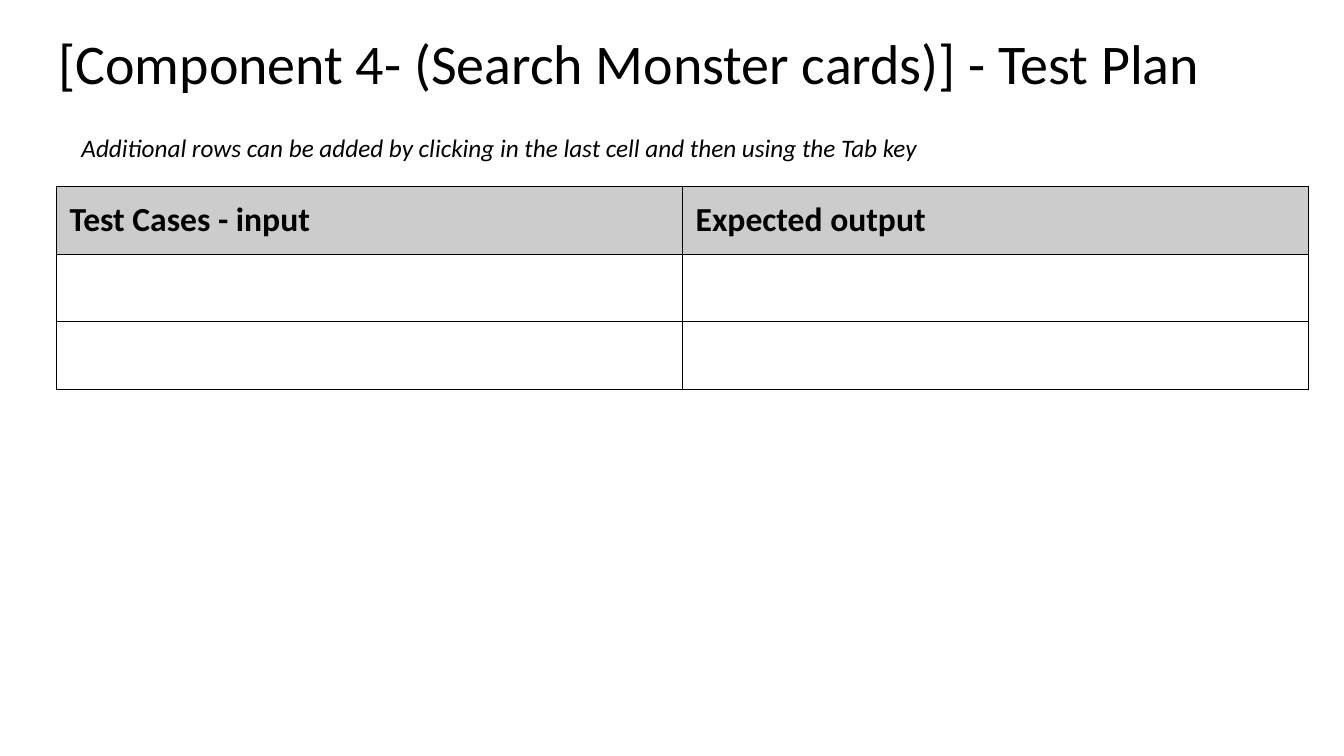
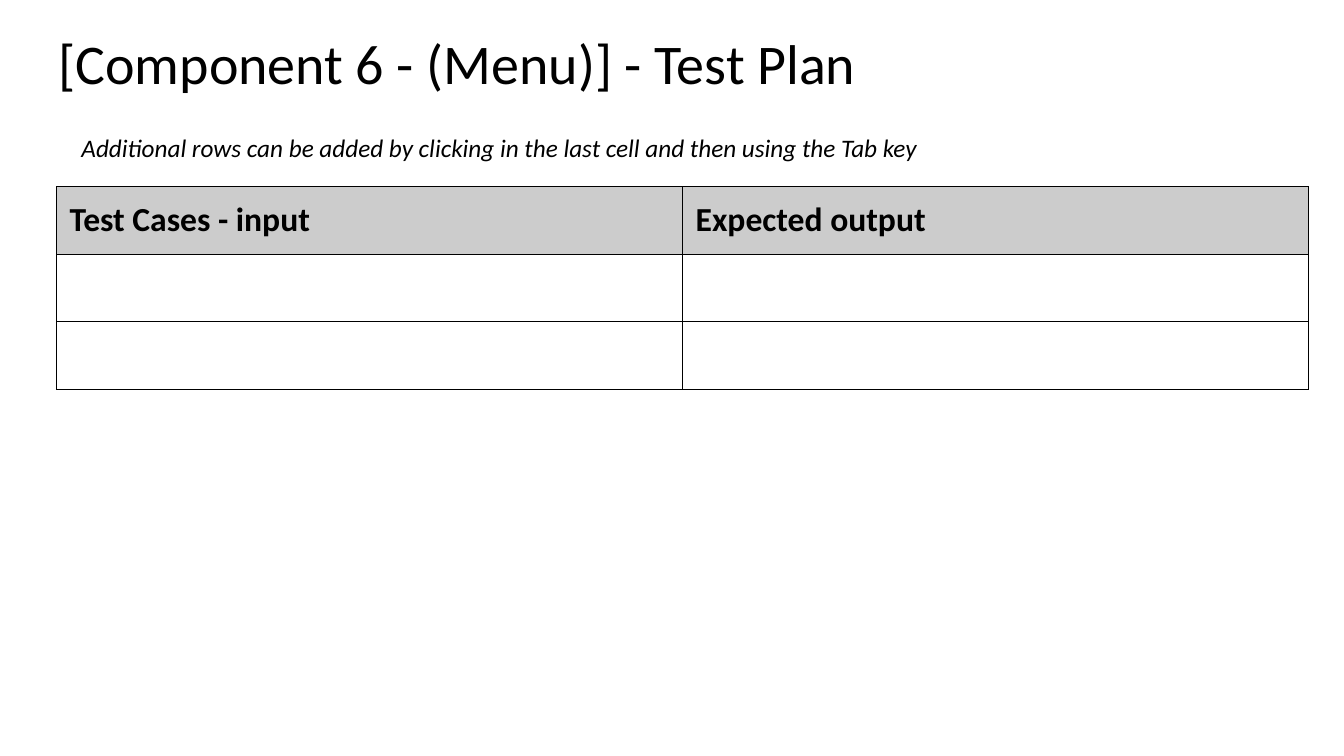
from lxml.etree import SubElement
from pptx import Presentation
from pptx.dml.color import RGBColor
from pptx.enum.text import MSO_ANCHOR, MSO_AUTO_SIZE, PP_ALIGN
from pptx.oxml.ns import qn
from pptx.util import Inches, Pt

FONT = "Calibri"
BLACK, WHITE, GREY = "000000", "FFFFFF", "CCCCCC"
WIDTH, HEIGHT = 13.33, 7.5
CONTENT_W = 12.42
ROW_H = 0.67
INSET = 0.13
TITLES = [
    "[Component 4- (Search Monster cards)] - Test Plan",
    "[Component 6 - (Menu)] - Test Plan",
]
HINT = ("Additional rows can be added by clicking in the last cell "
        "and then using the Tab key")
HEADERS = ["Test Cases - input", "Expected output"]
BODY_ROWS = 2


def rgb(value):
    """Turn a hex string into a colour."""
    return RGBColor.from_string(value)


def style(p, size, bold=False, italic=False):
    """Set the font of a paragraph."""
    p.alignment = PP_ALIGN.LEFT
    font = p.font
    font.name, font.size = FONT, Pt(size)
    font.bold, font.italic = bold, italic
    font.color.rgb = rgb(BLACK)


def set_insets(target):
    """Give a text frame or a cell equal margins on all sides."""
    target.margin_left = target.margin_right = Inches(INSET)
    target.margin_top = target.margin_bottom = Inches(INSET)


def add_title(s, text):
    """Fill and place the title placeholder."""
    title = s.shapes.title
    title.left, title.top = Inches(0.45), Inches(0.24)
    title.width, title.height = Inches(CONTENT_W), Inches(0.84)
    tf = title.text_frame
    tf.text = text
    tf.auto_size = MSO_AUTO_SIZE.NONE
    tf.vertical_anchor = MSO_ANCHOR.MIDDLE
    set_insets(tf)
    p = tf.paragraphs[0]
    p.line_spacing = 0.9
    style(p, 40)


def add_hint(s):
    """Add the italic hint above the table."""
    box = s.shapes.add_textbox(Inches(0.71), Inches(1.26), Inches(10.94), Inches(0.4))
    tf = box.text_frame
    tf.word_wrap = True
    tf.auto_size = MSO_AUTO_SIZE.SHAPE_TO_FIT_TEXT
    tf.text = HINT
    style(tf.paragraphs[0], 18, italic=True)


def set_borders(cell):
    """Draw a thin black line on each side of a cell, under its fill in the XML."""
    tc_pr = cell._tc.get_or_add_tcPr()
    for i, side in enumerate(("lnL", "lnR", "lnT", "lnB")):
        line = SubElement(tc_pr, qn("a:" + side), w=str(Pt(0.75)))
        fill = SubElement(line, qn("a:solidFill"))
        SubElement(fill, qn("a:srgbClr"), val=BLACK)
        tc_pr.insert(i, line)


def add_test_table(s):
    """Add the table: a grey header row and empty rows to fill in."""
    rows = 1 + BODY_ROWS
    frame = s.shapes.add_table(rows, len(HEADERS), Inches(0.56), Inches(1.85),
                               Inches(CONTENT_W), Inches(ROW_H * rows))
    table = frame.table
    table.horz_banding = False
    for row in table.rows:
        row.height = Inches(ROW_H)
    for cell in table.iter_cells():
        cell.fill.solid()
        cell.fill.fore_color.rgb = rgb(WHITE)
        set_borders(cell)
    for cell, text in zip(table.rows[0].cells, HEADERS):
        cell.fill.fore_color.rgb = rgb(GREY)
        cell.text = text
        set_insets(cell)
        style(cell.text_frame.paragraphs[0], 24, bold=True)


def main():
    """Build one test plan slide for each component."""
    prs = Presentation()
    prs.slide_width, prs.slide_height = Inches(WIDTH), Inches(HEIGHT)
    title_only = prs.slide_layouts[5]
    for text in TITLES:
        s = prs.slides.add_slide(title_only)
        add_title(s, text)
        add_test_table(s)
        add_hint(s)
    prs.save("out.pptx")


main()
